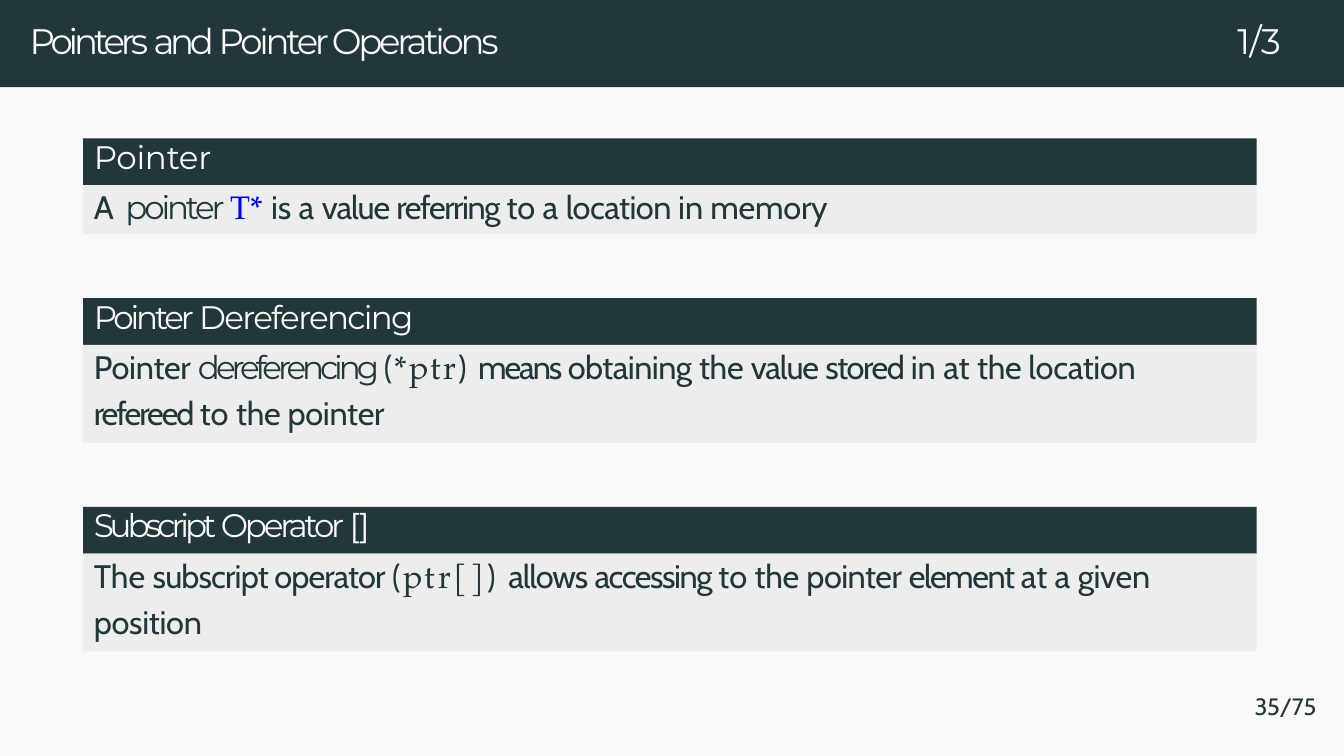
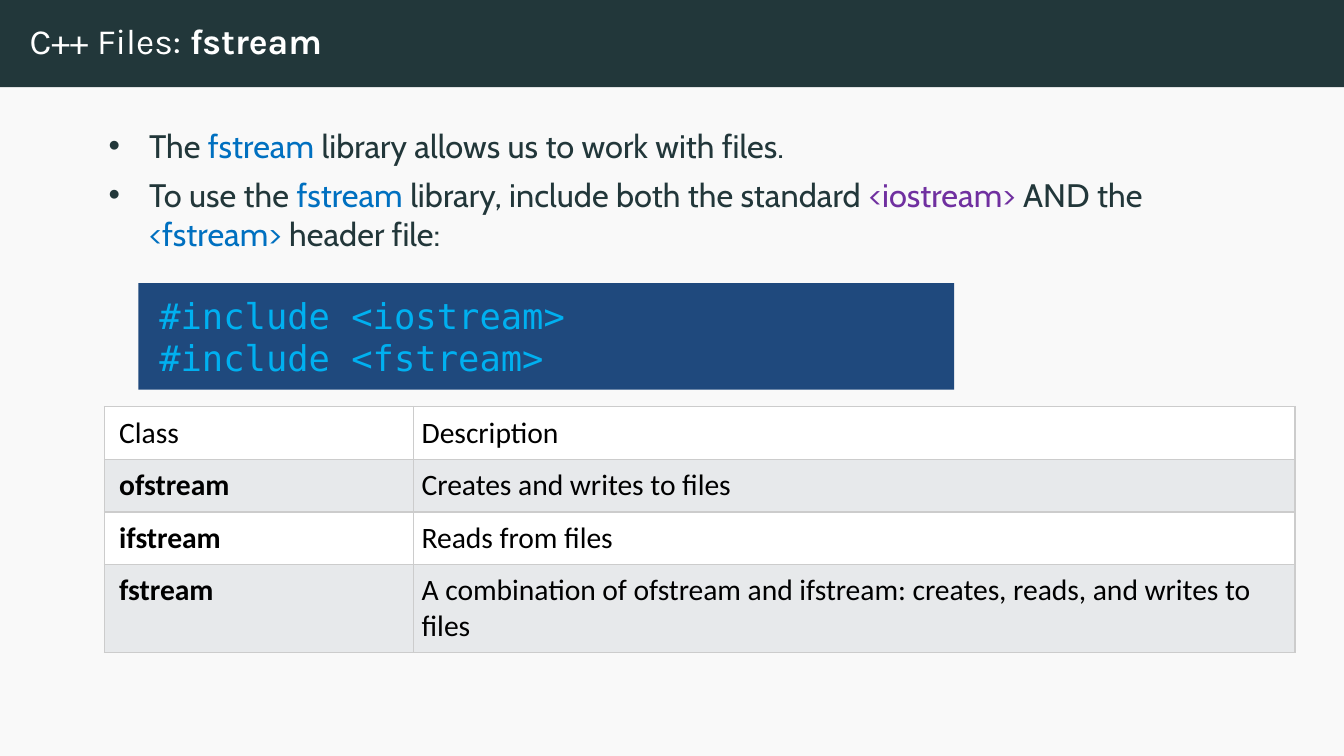
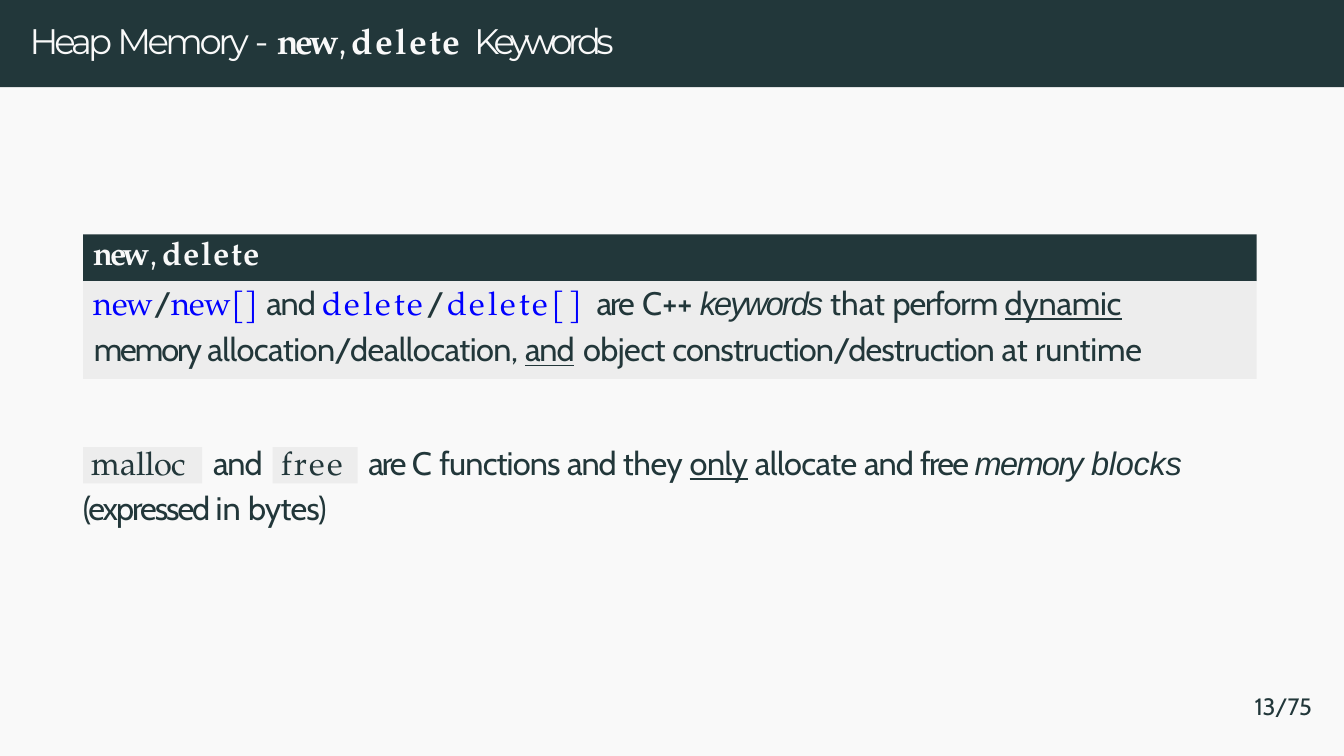
from lxml.etree import SubElement
from pptx import Presentation
from pptx.dml.color import RGBColor
from pptx.enum.shapes import MSO_SHAPE
from pptx.enum.text import MSO_ANCHOR, PP_ALIGN
from pptx.oxml.ns import qn
from pptx.util import Inches, Pt

COLORS = {
    "paper": "F9F9F9", "ink": "22373A", "panel": "EDEDED", "blue": "0000FF",
    "white": "FFFFFF", "black": "000000", "link": "0070C0", "purple": "7030A0",
    "navy": "1F497D", "sky": "00B0F0", "band": "E7E9EB", "border": "CCCCCC",
}
STYLES = {
    "text": ("Cabin", "ink", ""), "under": ("Cabin", "ink", "u"),
    "italic": ("Arial", "ink", "i"), "accent": ("Montserrat", "ink", ""),
    "code": ("TeX Gyre Pagella", "ink", ""),
    "keyword": ("TeX Gyre Pagella", "blue", ""),
    "head": ("Montserrat", "paper", ""),
    "headcode": ("TeX Gyre Pagella", "paper", "b"),
    "karla": ("Karla", "white", ""), "karlabold": ("Karla", "white", "b"),
    "library": ("Cabin", "link", ""), "header": ("Cabin", "purple", ""),
    "include": ("DejaVu Sans Mono", "sky", ""),
    "cell": ("Calibri", "black", ""), "cellbold": ("Calibri", "black", "b"),
}
WIDTH, HEIGHT = 6.31, 3.55
LEFT, BLOCK_W, HEAD_H = 0.39, 5.51, 0.22


def rgb(name):
    """Return a named colour."""
    return RGBColor.from_string(COLORS[name])


def add_runs(p, runs, size):
    """Fill a paragraph with (style, text, letter spacing) runs."""
    for style, text, *spacing in runs:
        font, color, marks = STYLES[style]
        r = p.add_run()
        r.text = text
        r.font.name, r.font.size = font, Pt(size)
        r.font.color.rgb = rgb(color)
        r.font.bold, r.font.italic = "b" in marks, "i" in marks
        r.font.underline = "u" in marks
        if spacing:
            r.font._element.set("spc", str(round(spacing[0] * 100)))


def add_text(s, box, lines, size=11, fill=None, inset=(0.01, 0.01),
             before=(0.9,), spacing=None):
    """Place lines of runs in a plain or filled box and return its text frame."""
    box = [Inches(v) for v in box]
    if fill:
        sp = s.shapes.add_shape(MSO_SHAPE.RECTANGLE, *box)
        sp.shadow.inherit = False
        sp.fill.solid()
        sp.fill.fore_color.rgb = rgb(fill)
        sp.line.fill.background()
    else:
        sp = s.shapes.add_textbox(*box)
    tf = sp.text_frame
    tf.word_wrap = True
    tf.vertical_anchor = MSO_ANCHOR.TOP
    tf.margin_left, tf.margin_top = map(Inches, inset)
    tf.margin_right = tf.margin_bottom = 0
    for i, runs in enumerate(lines):
        p = tf.paragraphs[0] if i == 0 else tf.add_paragraph()
        p.alignment = PP_ALIGN.LEFT
        p.space_before = Pt(before[min(i, len(before) - 1)])
        if spacing:
            p.line_spacing = Pt(spacing)
        add_runs(p, runs, size)
    return tf


def add_slide(prs, title, part=None, page=None):
    """Add a slide with its title band, part number and page number."""
    s = prs.slides.add_slide(prs.slide_layouts[6])
    add_text(s, (0, 0, WIDTH, 0.41), [], fill="ink")
    add_text(s, (0.13, 0.08, 3.86, 0.23), [title], 12)
    if part:
        add_text(s, (5.8, 0.08, 0.3, 0.23), [[("head", part, -0.2)]], 12)
    if page:
        add_text(s, (5.85, 3.22, 0.4, 0.19), [[("text", page, -0.1)]], 8,
                 inset=(0.04, 0.03), before=(2.2,))
    return s


def add_block(s, box, title, lines):
    """Draw a titled block: a dark heading over a pale body."""
    x, y, w, h = box
    add_text(s, (x, y, w, HEAD_H), [title], fill="ink", inset=(0.05, 0),
             before=(0,), spacing=12.7)
    add_text(s, (x, y + HEAD_H, w, h - HEAD_H), lines, fill="panel",
             inset=(0.05, 0.01), before=(0.8, 2.4) if len(lines) > 1 else (0,))


def add_bullets(s, box, lines):
    """Draw a bulleted list."""
    tf = add_text(s, box, lines, inset=(0, 0.05), before=(3.4,))
    for p in tf.paragraphs:
        pPr = p._p.get_or_add_pPr()
        pPr.set("marL", str(Inches(0.21)))
        pPr.set("indent", str(Inches(-0.19)))
        SubElement(pPr, qn("a:buFont"), typeface="Arial")
        SubElement(pPr, qn("a:buChar"), char="•")


def add_borders(cell):
    """Draw thin grey lines on all sides of a cell."""
    tcPr = cell._tc.get_or_add_tcPr()
    for i, side in enumerate(("lnL", "lnR", "lnT", "lnB")):
        ln = tcPr.makeelement(qn("a:" + side), {"w": str(Pt(0.6))})
        SubElement(SubElement(ln, qn("a:solidFill")), qn("a:srgbClr"),
                   val=COLORS["border"])
        tcPr.insert(i, ln)


def add_class_table(s, box, widths, heights, rows):
    """Draw the table of classes with alternating row fills."""
    table = s.shapes.add_table(len(rows), len(widths), *map(Inches, box)).table
    for column, width in zip(table.columns, widths):
        column.width = Inches(width)
    for i, (row, height) in enumerate(zip(rows, heights)):
        table.rows[i].height = Inches(height)
        for j, text in enumerate(row):
            cell = table.cell(i, j)
            cell.fill.solid()
            cell.fill.fore_color.rgb = rgb("band" if i % 2 else "white")
            cell.margin_left = Inches(0.04 if j else 0.07)
            cell.margin_right = cell.margin_top = cell.margin_bottom = Inches(0.04)
            style = "cellbold" if i and not j else "cell"
            add_runs(cell.text_frame.paragraphs[0], [(style, text)], 10)
            add_borders(cell)


def pointer_slide(prs):
    """Build the slide on pointers and their operations."""
    s = add_slide(prs, [("head", "Pointers ", -1.4), ("head", "and ", -1.5),
                        ("head", "Pointer Operations", -1.1)], "1/3", "35/75")
    blocks = [
        (0.45, [("head", "Pointer", -0.1)], [
            [("text", "A ", 0.7), ("accent", "pointer ", -1.1), ("keyword", "T* "),
             ("text", "is a "), ("text", "value ", -0.4),
             ("text", "referring ", -0.5), ("text", "to a "),
             ("text", "location ", -0.2), ("text", "in"),
             ("text", " memory", -0.1)]]),
        (0.68, [("head", "Pointer ", -1.1), ("head", "Dereferencing", -0.6)], [
            [("text", "Pointer ", -0.1), ("accent", "dereferencing ", -1.4),
             ("text", "(", 0.7), ("code", "*ptr", 0.7), ("text", ") ", 0.7),
             ("text", "means ", -0.7), ("text", "obtaining ", -0.2),
             ("text", "the ", -0.1), ("text", "value ", -0.4),
             ("text", "stored ", -0.5), ("text", "in at "),
             ("text", "the location", -0.1)],
            [("text", "refereed ", -0.7), ("text", "to "),
             ("text", "the pointer", -0.1)]]),
        (0.68, [("head", "Subscript ", -1.4), ("head", "Operator ", -1.1),
                ("head", "[]", -0.2)], [
            [("text", "The "), ("text", "subscript operator ", -0.3),
             ("text", "(", 0.9), ("code", "ptr[]", 0.9), ("text", ") ", 0.9),
             ("text", "allows ", -0.4), ("text", "accessing ", -0.5),
             ("text", "to "), ("text", "the ", -0.1), ("text", "pointer ", -0.2),
             ("text", "element ", -0.5), ("text", "at a "),
             ("text", "given", -0.1)],
            [("text", "position", -0.1)]]),
    ]
    y = 0.65
    for height, title, lines in blocks:
        add_block(s, (LEFT, y, BLOCK_W, height), title, lines)
        y += height + 0.3


def file_slide(prs):
    """Build the slide on the file library."""
    s = add_slide(prs, [("karla", "C++ Files: "), ("karlabold", "fstream")])
    add_bullets(s, (0.49, 0.54, 5, 0.65), [
        [("text", "The "), ("library", "fstream"),
         ("text", " library allows us to work with files.")],
        [("text", "To use the "), ("library", "fstream"),
         ("text", " library, include both the standard "),
         ("header", "<iostream>"), ("text", " AND the "),
         ("library", "<fstream> "), ("text", "header file:")]])
    add_text(s, (0.65, 1.33, 3.83, 0.5),
             [[("include", f"#include <{name}>")] for name in ("iostream", "fstream")],
             12, "navy", (0.1, 0.05), (0,))
    add_class_table(s, (0.49, 1.91, 5.59, 1.12), (1.45, 4.14),
                    (0.24, 0.24, 0.24, 0.4), [
        ("Class", "Description"),
        ("ofstream", "Creates and writes to files"),
        ("ifstream", "Reads from files"),
        ("fstream", "A combination of ofstream and ifstream: "
                    "creates, reads, and writes to files")])


def add_function_note(s, x, y):
    """Draw the note on the two C functions with their tags."""
    for dx, width, runs in ((0, 0.56, [("code", "malloc", -0.1)]),
                            (0.89, 0.4, [("code", "free", 0.8)])):
        add_text(s, (x + dx, y + 0.03, width, 0.17), [runs], fill="panel",
                 inset=(0.04, 0), before=(0,), spacing=11.8)
    add_text(s, (x + 0.6, y, 0.28, 0.21), [[("text", "and", -0.4)]])
    add_text(s, (x + 1.33, y, 4.1, 0.21), [[
        ("text", "are ", -0.7), ("text", "C "), ("text", "functions ", -0.3),
        ("text", "and ", -0.4), ("text", "they ", -0.2), ("under", "only", -0.2),
        ("text", " allocate ", -0.2), ("text", "and ", -0.4),
        ("text", "free ", -0.6), ("italic", "memory ", -0.6),
        ("italic", "blocks", -0.1)]])
    add_text(s, (x - 0.01, y + 0.21, 1.4, 0.21), [[
        ("text", "(expressed ", -0.7), ("text", "in "), ("text", "bytes)", -0.3)]])


def heap_slide(prs):
    """Build the slide on heap memory keywords."""
    s = add_slide(prs, [
        ("head", "Heap ", -1.4), ("head", "Memory ", -1.2), ("head", "- "),
        ("headcode", "new", -1.3), ("head", ", ", -1.3),
        ("headcode", "delete ", 0.7), ("head", "Keywords", -1.6)], page="13/75")
    title = [("headcode", "new", -1.2), ("head", ", ", -1.2),
             ("headcode", "delete", 0.5)]
    add_block(s, (LEFT, 1.1, BLOCK_W, 0.68), title, [
        [("keyword", "new", -0.2), ("text", "/", -0.2), ("keyword", "new[] ", -0.2),
         ("text", "and ", -0.4), ("keyword", "delete", 1), ("text", "/", 1),
         ("keyword", "delete[] ", 1), ("text", "are", -0.7), ("text", " C++ "),
         ("italic", "keywords ", -0.7), ("text", "that "),
         ("text", "perform ", -0.4), ("under", "dynamic", -0.1)],
        [("text", "memory ", -0.7), ("text", "allocation/deallocation, ", -0.2),
         ("under", "and", -0.4), ("text", " ", 0.3), ("text", "object ", -0.2),
         ("text", "construction/destruction ", -0.3), ("text", "at "),
         ("text", "runtime", -0.1)]])
    add_function_note(s, LEFT, 2.07)


def main():
    """Build and save the presentation."""
    prs = Presentation()
    prs.slide_width, prs.slide_height = Inches(WIDTH), Inches(HEIGHT)
    fill = prs.slide_master.background.fill
    fill.solid()
    fill.fore_color.rgb = rgb("paper")
    for build in (pointer_slide, file_slide, heap_slide):
        build(prs)
    prs.save("out.pptx")


main()
